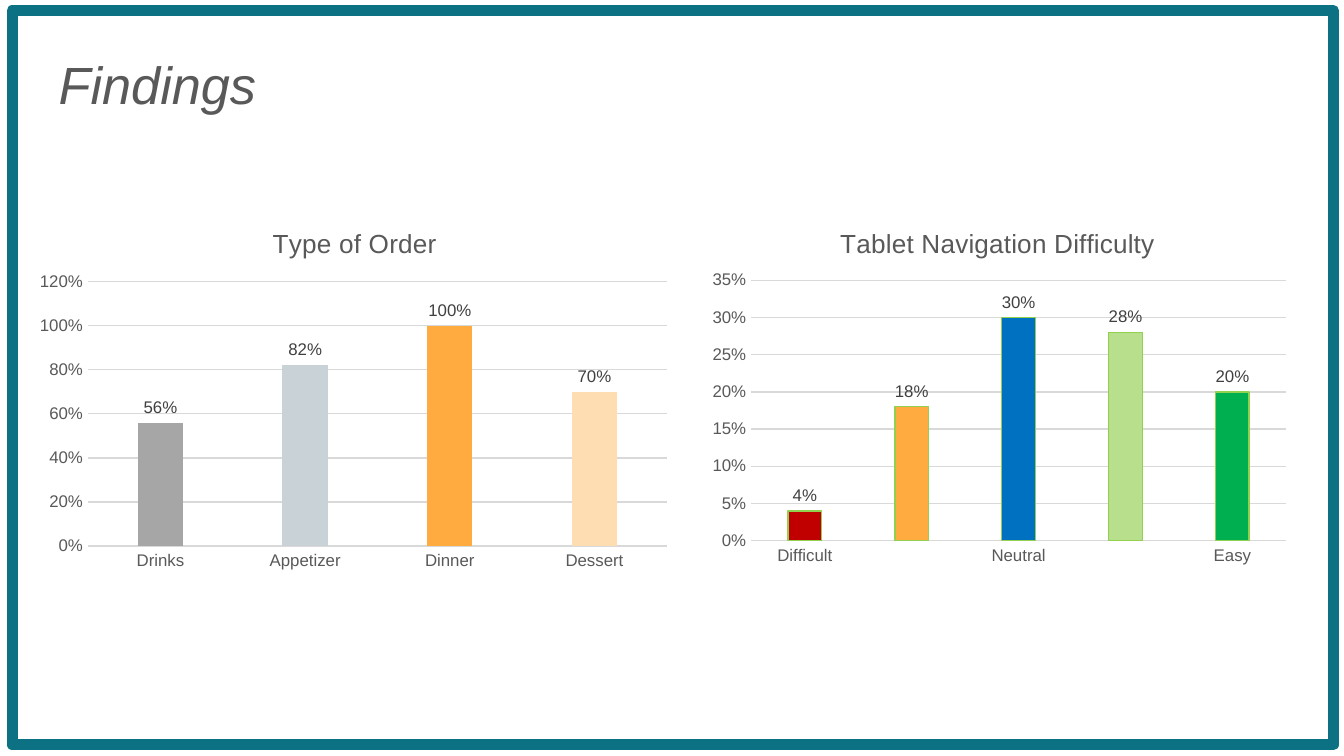
from lxml.etree import SubElement
from pptx import Presentation
from pptx.chart.data import CategoryChartData
from pptx.dml.color import RGBColor
from pptx.enum.chart import XL_CHART_TYPE as ChartType
from pptx.enum.chart import XL_LABEL_POSITION as LabelPos
from pptx.enum.chart import XL_TICK_MARK as Tick
from pptx.enum.shapes import MSO_SHAPE as Preset
from pptx.enum.text import MSO_ANCHOR as Anchor
from pptx.enum.text import MSO_AUTO_SIZE as AutoSize
from pptx.enum.text import PP_ALIGN as Align
from pptx.oxml.ns import qn
from pptx.util import Cm, Pt

TEAL = RGBColor(0x0C, 0x71, 0x82)
TEXT_GRAY = RGBColor(0x59, 0x59, 0x59)
LABEL_GRAY = RGBColor(0x40, 0x40, 0x40)
GRID_GRAY = RGBColor(0xD9, 0xD9, 0xD9)
GRAY = RGBColor(0xA6, 0xA6, 0xA6)
MIST = RGBColor(0xC9, 0xD3, 0xD7)
ORANGE = RGBColor(0xFF, 0xAB, 0x40)
PEACH = RGBColor(0xFF, 0xDD, 0xB3)
RED = RGBColor(0xC0, 0x00, 0x00)
BLUE = RGBColor(0x00, 0x70, 0xC0)
LIGHT_GREEN = RGBColor(0xB8, 0xE0, 0x8C)
GREEN = RGBColor(0x00, 0xB0, 0x50)
OUTLINE_GREEN = RGBColor(0x92, 0xD0, 0x50)
FONT = "Arial"


def format_font(font, size, color, italic=False):
    font.name, font.size = FONT, Pt(size)
    font.bold, font.italic = False, italic
    font.color.rgb = color


def write_text(frame, text, size=14, color=TEXT_GRAY, italic=False,
               align=Align.CENTER, spacing=1.0):
    paragraph = frame.paragraphs[0]
    paragraph.alignment = align
    paragraph.line_spacing = spacing
    run = paragraph.add_run()
    run.text = text
    format_font(run.font, size, color, italic)


def place_plot(chart, **fractions):
    """Fix the inner plot area as fractions of the chart."""
    plot_area = chart.plots[0]._element.getparent()
    for old in plot_area.findall(qn("c:layout")):
        plot_area.remove(old)
    layout = SubElement(plot_area, qn("c:layout"))
    plot_area.insert(0, layout)
    manual = SubElement(layout, qn("c:manualLayout"))
    settings = {"layoutTarget": "inner", "xMode": "edge", "yMode": "edge", **fractions}
    for tag, value in settings.items():
        SubElement(manual, qn(f"c:{tag}")).set("val", str(value))


class FindingsSlide:
    def __init__(self, deck):
        self.slide = deck.slides.add_slide(deck.slide_layouts[5])

    def frame(self, *box):
        border = self.slide.shapes.add_shape(Preset.RECTANGLE, *map(Cm, box))
        border.shadow.inherit = False
        border.fill.background()
        border.line.color.rgb = TEAL
        border.line.width = Pt(6)
        SubElement(border.line._get_or_add_ln(), qn("a:round"))

    def title(self, text, *box):
        title = self.slide.shapes.title
        title.left, title.top, title.width, title.height = map(Cm, box)
        body = title.text_frame
        body.auto_size = AutoSize.NONE
        body.vertical_anchor = Anchor.TOP
        body.margin_left = body.margin_right = Cm(0.25)
        body.margin_top = body.margin_bottom = Cm(0.25)
        write_text(body, text, size=28, italic=True, align=Align.LEFT, spacing=1.15)

    def column_chart(self, heading, bars, top_value, step, *box, outline=None):
        data = CategoryChartData(number_format="0%")
        data.categories = [name for name, _, _ in bars]
        data.add_series("Series 1", [value for _, value, _ in bars])
        chart = self.slide.shapes.add_chart(
            ChartType.COLUMN_CLUSTERED, *map(Cm, box), data).chart
        chart.has_legend = False
        chart.has_title = True
        write_text(chart.chart_title.text_frame, heading)
        chart.chart_title.include_in_layout = False
        place_plot(chart, x=0.09, y=0.2, w=0.89, h=0.71)

        # Axes
        for axis in (chart.category_axis, chart.value_axis):
            axis.major_tick_mark = axis.minor_tick_mark = Tick.NONE
            format_font(axis.tick_labels.font, 9, TEXT_GRAY)
        baseline = chart.category_axis.format.line
        grid = chart.value_axis.major_gridlines.format.line
        for line in (baseline, grid):
            line.color.rgb = GRID_GRAY
            line.width = Pt(0.75)
        scale = chart.value_axis
        scale.format.line.fill.background()
        scale.minimum_scale, scale.maximum_scale = 0, top_value
        scale.major_unit = step
        scale.tick_labels.number_format = "0%"
        scale.tick_labels.number_format_is_linked = False

        # Columns and their values
        plot = chart.plots[0]
        plot.gap_width, plot.overlap = 219, -27
        plot.vary_by_categories = False
        series = plot.series[0]
        series.format.fill.solid()
        series.format.fill.fore_color.rgb = ORANGE
        for index, (_, _, color) in enumerate(bars):
            column = series.points[index].format
            column.fill.solid()
            column.fill.fore_color.rgb = color
            if outline:
                column.line.color.rgb = outline
                column.line.width = Pt(0.75)
        labels = series.data_labels
        labels.show_value = True
        labels.position = LabelPos.OUTSIDE_END
        labels.number_format = "0%"
        labels.number_format_is_linked = False
        format_font(labels.font, 9, LABEL_GRAY)


def main():
    deck = Presentation()
    deck.slide_width, deck.slide_height = Cm(25.4), Cm(14.28)
    findings = FindingsSlide(deck)

    # Border and title
    findings.frame(0.23, 0.2, 24.97, 13.87)
    findings.title("Findings", 0.86, 0.56, 23.67, 2.21)

    # Charts
    difficulty = [("Difficult", 0.04, RED), ("", 0.18, ORANGE), ("Neutral", 0.3, BLUE),
                  ("", 0.28, LIGHT_GREEN), ("Easy", 0.2, GREEN)]
    orders = [("Drinks", 0.56, GRAY), ("Appetizer", 0.82, MIST),
              ("Dinner", 1, ORANGE), ("Dessert", 0.7, PEACH)]
    findings.column_chart("Tablet Navigation Difficulty", difficulty, 0.35, 0.05,
                          13.18, 3.91, 11.35, 6.93, outline=OUTLINE_GREEN)
    findings.column_chart("Type of Order", orders, 1.2, 0.2, 0.56, 3.91, 12.29, 7.04)
    deck.save("out.pptx")


if __name__ == "__main__":
    main()
